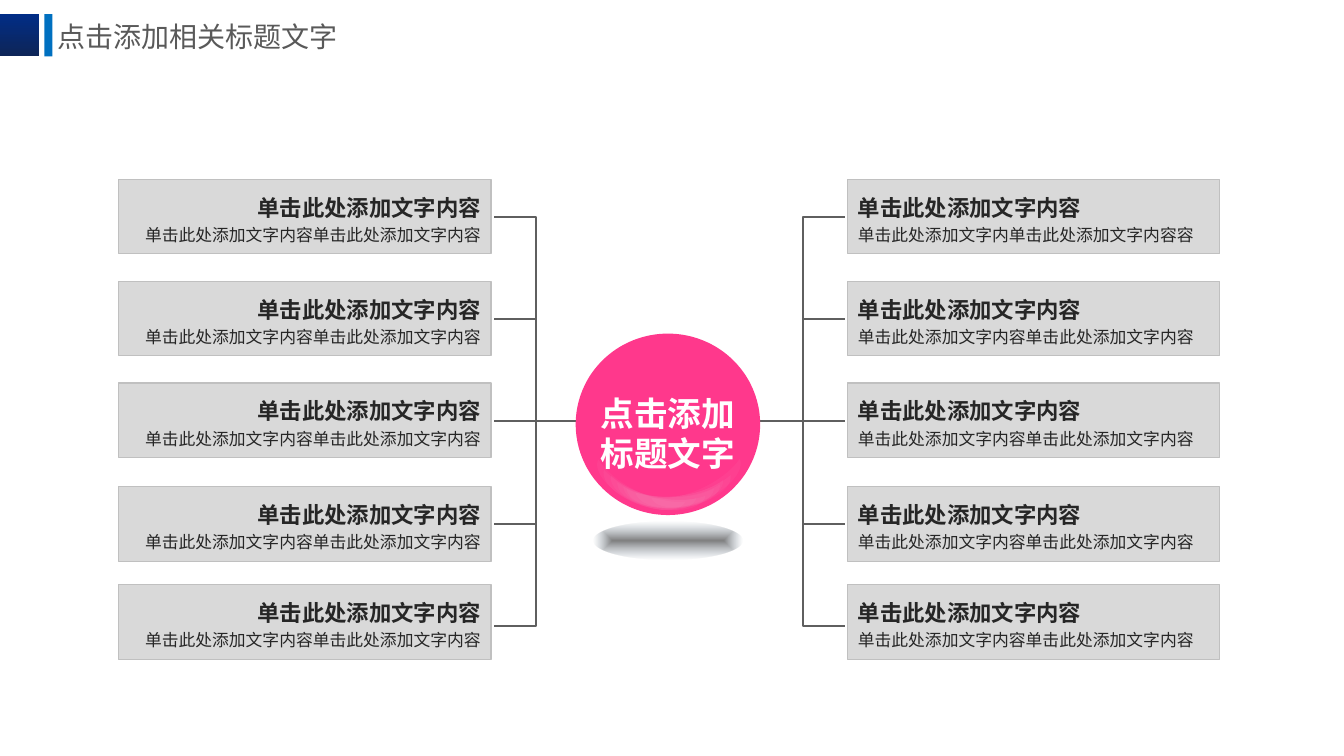
import lxml.etree
import pptx
import pptx.dml.color
import pptx.enum.shapes
import pptx.enum.text
import pptx.oxml.ns
import pptx.util

Inches = pptx.util.Inches
Pt = pptx.util.Pt
qn = pptx.oxml.ns.qn
SHAPE = pptx.enum.shapes.MSO_SHAPE
ALIGN = pptx.enum.text.PP_ALIGN
MIDDLE = pptx.enum.text.MSO_ANCHOR.MIDDLE

FONT = "Noto Sans CJK SC"
LINE_GRAY = "5F5F5F"
CARD_TITLE = "单击此处添加文字内容"
CARD_DETAIL = CARD_TITLE * 2
FIRST_RIGHT_DETAIL = "单击此处添加文字内单击此处添加文字内容容"
CARD_TOPS = [1.78, 2.79, 3.8, 4.83, 5.8]
# left, top and rotation of each highlight, relative to the ball
HIGHLIGHTS = [
    (1.12, 1.06, 246.1), (0.97, 1.12, 259.7), (0.88, 1.13, 264.6),
    (0.77, 1.14, 273.5), (0.84, 1.14, 268.7), (0.68, 1.14, 282.2),
    (0.59, 1.12, 287.2), (0.49, 1.08, 296),
]


def rgb(hex_color):
    return pptx.dml.color.RGBColor.from_string(hex_color)


def add_plain_shape(slide, kind, left, top, width, height, color=None):
    shape = slide.shapes.add_shape(
        kind, Inches(left), Inches(top), Inches(width), Inches(height))
    shape.shadow.inherit = False
    shape.line.fill.background()
    if color:
        shape.fill.solid()
        shape.fill.fore_color.rgb = rgb(color)
    return shape


def fill_gradient(shape, colors):
    shape.fill.gradient()
    for stop, color in zip(shape.fill.gradient_stops, colors):
        stop.color.rgb = rgb(color)


def set_opacity(shape, percents):
    """Give the fill colours of a shape, in order, these opacities."""
    fill_colors = shape._element.spPr.iter(qn("a:srgbClr"))
    for color, percent in zip(fill_colors, percents):
        alpha = lxml.etree.SubElement(color, qn("a:alpha"))
        alpha.set("val", str(percent * 1000))


def format_paragraph(paragraph, size, color, align, bold=False):
    paragraph.alignment = align
    for run in paragraph.runs:
        run.font.size = Pt(size)
        run.font.bold = bold
        run.font.name = FONT
        run.font.color.rgb = rgb(color)
        east_asian = lxml.etree.SubElement(run._r.get_or_add_rPr(), qn("a:ea"))
        east_asian.set("typeface", FONT)


def style_line(line, color, width):
    line.color.rgb = rgb(color)
    line.width = Pt(width)


def add_header(slide, left, top):
    dark_bar = add_plain_shape(slide, SHAPE.RECTANGLE, left, top, 0.4, 0.42)
    fill_gradient(dark_bar, ["012D86", "0E2557"])
    dark_bar.fill.gradient_angle = 270
    add_plain_shape(slide, SHAPE.RECTANGLE, left + 0.45, top, 0.08, 0.42, "0070C0")

    title = slide.shapes.title
    title.left, title.top = Inches(left + 0.48), Inches(top - 0.08)
    title.width, title.height = Inches(3.26), Inches(0.61)
    title.text_frame.text = "点击添加相关标题文字"
    title.text_frame.vertical_anchor = MIDDLE
    title.text_frame.auto_size = pptx.enum.text.MSO_AUTO_SIZE.NONE
    format_paragraph(title.text_frame.paragraphs[0], 20, "595959", ALIGN.LEFT)


def add_bracket(slide, card_x, hub_x, top, height):
    """Join five branches at card_x to a spine halfway to hub_x."""
    spine_x = (card_x + hub_x) / 2
    bottom = top + height
    builder = slide.shapes.build_freeform(
        Inches(card_x), Inches(top), scale=1.0)
    corners = [(spine_x, top), (spine_x, bottom), (card_x, bottom)]
    builder.add_line_segments(
        [(Inches(x), Inches(y)) for x, y in corners], close=False)
    spine = builder.convert_to_shape()
    spine.shadow.inherit = False
    spine.fill.background()
    style_line(spine.line, LINE_GRAY, 1.5)

    for row, end_x in [(1, spine_x), (2, hub_x), (3, spine_x)]:
        y = Inches(top + row * height / 4)
        branch = slide.shapes.add_connector(
            pptx.enum.shapes.MSO_CONNECTOR.STRAIGHT,
            Inches(card_x), y, Inches(end_x), y)
        style_line(branch.line, LINE_GRAY, 1.5)
        lxml.etree.SubElement(branch._element.spPr, qn("a:effectLst"))


def add_card_column(slide, left, align, details):
    for top, detail in zip(CARD_TOPS, details):
        card = add_plain_shape(
            slide, SHAPE.RECTANGLE, left, top, 3.69, 0.74, "D9D9D9")
        style_line(card.line, "C0C0C0", 0.75)
        frame = card.text_frame
        frame.word_wrap = False
        frame.vertical_anchor = MIDDLE
        frame.text = CARD_TITLE + "\n" + detail
        heading, body = frame.paragraphs
        format_paragraph(heading, 16, "262626", align, bold=True)
        format_paragraph(body, 12, "262626", align)
        heading.line_spacing = body.line_spacing = 1.2


def add_ball(slide, left, top):
    add_plain_shape(slide, SHAPE.OVAL, left, top, 1.83, 1.8, "FF388C")
    for dx, dy, rotation in HIGHLIGHTS:
        highlight = add_plain_shape(
            slide, SHAPE.MOON, left + dx, top + dy, 0.23, 0.96, "F8F8F8")
        highlight.adjustments[0] = 0.5
        highlight.rotation = rotation
        set_opacity(highlight, [4])

    caption = slide.shapes.add_textbox(
        Inches(left + 0.15), Inches(top + 0.54), Inches(1.53), Inches(0.9))
    frame = caption.text_frame
    frame.word_wrap = True
    frame.margin_left = frame.margin_right = 0
    frame.text = "点击添加\n标题文字"
    for paragraph in frame.paragraphs:
        format_paragraph(paragraph, 24, "FFFFFF", ALIGN.CENTER, bold=True)

    add_ground_shadow(slide, left + 0.18, top + 1.86)


def add_ground_shadow(slide, left, top):
    ground = add_plain_shape(slide, SHAPE.OVAL, left, top, 1.47, 0.38)
    fill_gradient(ground, ["000000", "445E7A"])
    set_opacity(ground, [50, 0])
    gradient = ground._element.spPr.find(qn("a:gradFill"))
    gradient.remove(gradient.find(qn("a:lin")))
    outline = lxml.etree.SubElement(gradient, qn("a:path"))
    outline.set("path", "shape")
    center = lxml.etree.SubElement(outline, qn("a:fillToRect"))
    for side in "ltrb":
        center.set(side, "50000")


def main():
    deck = pptx.Presentation()
    deck.slide_width, deck.slide_height = Inches(13.33), Inches(7.5)
    slide = deck.slides.add_slide(deck.slide_layouts.get_by_name("Title Only"))
    add_header(slide, -0.01, 0.14)
    add_bracket(slide, card_x=4.9, hub_x=5.74, top=2.15, height=4.06)
    add_bracket(slide, card_x=8.38, hub_x=7.54, top=2.15, height=4.06)
    add_card_column(slide, 8.41, ALIGN.LEFT, [FIRST_RIGHT_DETAIL] + [CARD_DETAIL] * 4)
    add_card_column(slide, 1.18, ALIGN.RIGHT, [CARD_DETAIL] * 5)
    add_ball(slide, 5.71, 3.31)
    deck.save("out.pptx")


if __name__ == "__main__":
    main()
